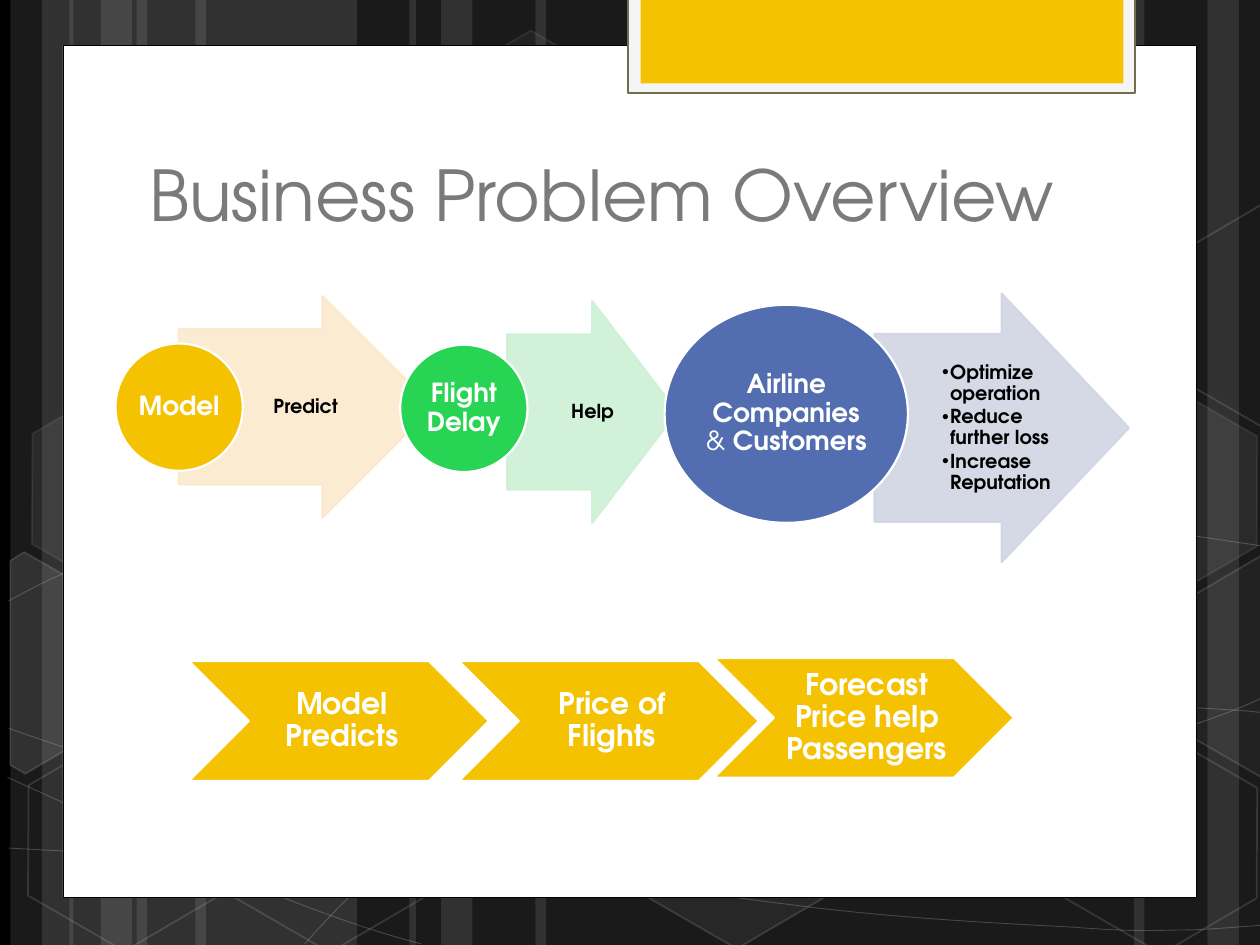
import math
import dataclasses
import pptx
import pptx.util
import pptx.dml.color
import pptx.enum.shapes
import pptx.enum.text
import pptx.oxml
import pptx.oxml.ns

KIND = pptx.enum.shapes.MSO_SHAPE
ALIGN = pptx.enum.text.PP_ALIGN
ANCHOR = pptx.enum.text.MSO_ANCHOR

STRIPES = [(78, 126), (6, 36), (24, 60), (111.6, 126), (39.6, 36), (57.6, 60),
           (528, 126), (690, 36), (648, 60), (306, 222), (234, 36), (252, 60)]

CURVES = [
    [(5, 484.6), (43.9, 486.7), (82.8, 488.9), (136.8, 488.2), (190.8, 487.4),
     (257.8, 486), (329.8, 478.8), (401.8, 471.6), (504, 457.9), (570.2, 444.2),
     (635.8, 430.6), (703.4, 409), (725, 396.7)],
    [(5, 343.4), (25.9, 331.9), (46.8, 321.1), (87.1, 310.3), (128.2, 299.5),
     (186.5, 283.7), (249.8, 278.6), (313.9, 273.6), (391.7, 272.9),
     (470.9, 278.6), (550.1, 284.4), (681.8, 306.7), (725, 312.5)],
    [(4.3, 444.2), (91.4, 483.8), (177.8, 523.4), (240.5, 539.3)],
    [(5, 416.2), (27.4, 424.1), (50.4, 432), (92.2, 443.5), (133.9, 454.3),
     (196.6, 472.3), (257, 484.6), (316.8, 496.8), (392.4, 509.8), (452.2, 517),
     (511.9, 524.9), (576, 527.8), (614.2, 529.9), (651.6, 532.8),
     (661.7, 531.4), (680.4, 531.4), (699.1, 530.6), (712.1, 529.2), (725, 528.5)],
    [(174.2, 539.3), (187.2, 524.9), (200.2, 510.5), (217.4, 497.5),
     (234.7, 484.6), (259.2, 470.2), (279.4, 460.1), (299.5, 450),
     (311.8, 445.7), (338.4, 438.5), (364.3, 431.3), (412.6, 421.2),
     (437.8, 416.2), (463.7, 411.1), (467.3, 411.1), (489.6, 409.7),
     (511.9, 407.5), (547.2, 405.4), (571.7, 404.6), (596.9, 403.9),
     (637.9, 404.6), (637.9, 404.6), (654, 404.6), (670, 404.6), (686.2, 404.6),
     (699.1, 405.4), (711.4, 406.1), (717.8, 406.8), (724.3, 407.5),
     (722.2, 406.8), (724.3, 407.5)],
]

HEXES = [(240.5, 26, 4, 8), (357.8, 424.1, 6, 12), (7.9, 425.5, 0, 12),
         (10.1, 224.6, 7, 8), (125.3, 426.2, 0, 12), (542.2, 326.2, 10, 12),
         (600.5, 427, 0, 12), (600.5, 226.1, 7, 8)]

LEFT = [(5.8, 320.4), (13.7, 315.4), (69.1, 347), (68.4, 410.4), (14.4, 442.1), (5.8, 437)]
RIGHT = [(666.7, 349.2), (720.7, 317.5), (726.5, 321.1), (726.5, 441.4),
         (721.4, 444.2), (666.7, 412.6)]


@dataclasses.dataclass(frozen=True)
class Theme:
    """Hold the colours, font and type sizes of the slide."""
    font: str = "TeX Gyre Adventor"
    black: str = "000000"
    white: str = "FFFFFF"
    grey: str = "7A7A7A"
    gold: str = "F5C201"
    green: str = "28D453"
    blue: str = "526DB0"
    cream: str = "FBE9CC"
    mint: str = "CDF1D4"
    mist: str = "D1D5E4"
    frame: str = "F5F5F5"
    olive: str = "6F6F4E"
    title: int = 40
    step: int = 17
    node: int = 15
    note: int = 11


LOOK = Theme()


def pts(*nums):
    """Turn numbers into point lengths."""
    return [pptx.util.Pt(num) for num in nums]


def tint(fill, hue):
    """Make a fill solid in one colour."""
    fill.solid()
    fill.fore_color.rgb = pptx.dml.color.RGBColor.from_string(hue)


def fade(shape, tag, alpha):
    """Set the opacity, in percent, of a shape's fill or line."""
    part = shape.element.spPr.find(pptx.oxml.ns.qn(tag))
    for node in part.iter(pptx.oxml.ns.qn("a:srgbClr")):
        mark = node.makeelement(pptx.oxml.ns.qn("a:alpha"), {"val": str(alpha * 1000)})
        node.append(mark)


def paint(shape, fill=None, line=None, width=1.25, alpha=100, edge=100):
    """Give a shape its fill and line, without a shadow."""
    shape.shadow.inherit = False
    if fill and alpha:
        tint(shape.fill, fill)
        if alpha < 100:
            fade(shape, "a:solidFill", alpha)
    else:
        shape.fill.background()
    if line:
        tint(shape.line.fill, line)
        shape.line.width = pptx.util.Pt(width)
        if edge < 100:
            fade(shape, "a:ln", edge)
    else:
        shape.line.fill.background()
    return shape


def add(slide, kind, box, **style):
    """Add a painted preset shape."""
    return paint(slide.shapes.add_shape(kind, *pts(*box)), **style)


def trace(slide, points, close, **style):
    """Add a painted outline through the points."""
    dots = [pts(*point) for point in points]
    pen = slide.shapes.build_freeform(*dots[0])
    pen.add_line_segments(dots[1:], close=close)
    return paint(pen.convert_to_shape(), line=LOOK.white, **style)


def bend(shape):
    """Turn every three straight segments into one cubic curve."""
    lines = list(shape.element.iter(pptx.oxml.ns.qn("a:lnTo")))
    for at in range(0, len(lines), 3):
        curve = lines[at].makeelement(pptx.oxml.ns.qn("a:cubicBezTo"), {})
        lines[at].addprevious(curve)
        for line in lines[at:at + 3]:
            curve.append(line[0])
            line.getparent().remove(line)


def turn(points, hub, angle):
    """Rotate points around a hub."""
    cos, sin = math.cos(math.radians(angle)), math.sin(math.radians(angle))
    moved = [(x - hub[0], y - hub[1]) for x, y in points]
    return [(hub[0] + x * cos - y * sin, hub[1] + x * sin + y * cos) for x, y in moved]


def shard(slide, points, hub, alpha, rise=0):
    """Add a cut hexagon, tilted by 30 degrees."""
    flat = [(x, y - rise) for x, y in turn(points, hub, -30)]
    trace(slide, flat, True, fill=LOOK.white, width=1, alpha=alpha, edge=12).rotation = 30


def frame(shape, inset, anchor=ANCHOR.MIDDLE):
    """Set insets, wrap and anchor, and return the text frame."""
    text = shape.text_frame
    text.word_wrap = True
    text.auto_size = pptx.enum.text.MSO_AUTO_SIZE.NONE
    text.vertical_anchor = anchor
    (text.margin_left, text.margin_top,
     text.margin_right, text.margin_bottom) = pts(*inset)
    return text


def style(para, size, hue, bold=True, align=ALIGN.CENTER, gap=0.35, lead=0.9):
    """Format one paragraph."""
    para.alignment = align
    para.line_spacing = lead
    para.space_before, para.space_after = pts(0, gap * size)
    para.font.name, para.font.size, para.font.bold = LOOK.font, pptx.util.Pt(size), bold
    tint(para.font.fill, hue)


def label(shape, runs, size, hue, inset):
    """Write centred text in a shape, with a lone ampersand in light type."""
    para = frame(shape, inset).paragraphs[0]
    for words in runs:
        run = para.add_run()
        run.text = words
        if words.strip() == "&":
            run.font.bold = False
    style(para, size, hue)


def place(shape, box):
    """Move a placeholder to a box and to the front."""
    shape.left, shape.top, shape.width, shape.height = pts(*box)
    shape.element.getparent().append(shape.element)


def bullets(shape, items):
    """Write a tight bulleted list."""
    text = frame(shape, (2, 1, 1.5, 1))
    text.text = "\n".join(items)
    for para in text.paragraphs:
        para.level = 1
        style(para, LOOK.note, LOOK.black, align=ALIGN.LEFT, gap=0.15)
        props = para._p.get_or_add_pPr()
        props.set("marL", str(pptx.util.Pt(4.5)))
        props.set("indent", str(pptx.util.Pt(-4.5)))
        dot = props.makeelement(pptx.oxml.ns.qn("a:buChar"), {"char": "•"})
        props.find(pptx.oxml.ns.qn("a:defRPr")).addprevious(dot)


def decor(slide):
    """Draw the dark backdrop, the page and the gold tab."""
    tint(slide.background.fill, LOOK.black)
    for x, wide in STRIPES:
        add(slide, KIND.RECTANGLE, (x, 0, wide, 540), fill=LOOK.white, alpha=10)
    for knots in CURVES:
        bend(trace(slide, knots, False, width=0.5, edge=20))
    for x, y, alpha, edge in HEXES:
        hexa = add(slide, KIND.HEXAGON, (x, y, 126, 109.5), fill=LOOK.white,
                   line=LOOK.white, width=1, alpha=alpha, edge=edge)
        hexa.adjustments[0] = 0.285
        hexa.rotation = 30
    shard(slide, LEFT, (25.9, 385.2), 10)
    shard(slide, RIGHT, (709.2, 374.4), 4)
    shard(slide, RIGHT, (709.2, 374.4), 0, rise=200.5)
    add(slide, KIND.RECTANGLE, (36, 26, 648, 487), fill=LOOK.white, line=LOOK.black, width=0.5)
    add(slide, KIND.RECTANGLE, (359, -1.4, 289.5, 54.7), fill=LOOK.frame, line=LOOK.olive)
    add(slide, KIND.RECTANGLE, (366, -1.4, 276, 49), fill=LOOK.gold)


def stage(slide, arrow, pale, note, inset, disc, hue, runs):
    """Draw one stage: a pale arrow with a disc on its tail."""
    shape = add(slide, KIND.RIGHT_ARROW, arrow, fill=pale, line=pale, alpha=90, edge=90)
    shape.adjustments[0], shape.adjustments[1] = 0.7, 0.5
    if note:
        label(shape, [note], LOOK.note, LOOK.black, (inset, 1, 0, 1))
    shape = add(slide, KIND.OVAL, disc, fill=hue, line=LOOK.white)
    label(shape, runs, LOOK.node, LOOK.white, (0.7,) * 4)


def main():
    """Build the slide and save it."""
    deck = pptx.Presentation()
    deck.slide_width, deck.slide_height = pts(720, 540)
    slide = deck.slides.add_slide(deck.slide_layouts[1])
    title, body = slide.placeholders
    decor(slide)
    place(title, (78, 48.2, 553, 90))
    text = frame(title, (7.2, 3.6, 7.2, 3.6), ANCHOR.BOTTOM)
    text.text = "Business Problem Overview"
    style(text.paragraphs[0], LOOK.title, LOOK.grey, False, ALIGN.LEFT, 0, 1)
    stage(slide, (102.2, 169.2, 145.4, 126.7), LOOK.cream, "Predict", 44,
          (66, 196.3, 72.7, 72.7), LOOK.gold, ["Model"])
    stage(slide, (289.8, 172.1, 97.2, 126.7), LOOK.mint, "Help", 34.5,
          (228.7, 197, 72.7, 72.7), LOOK.green, ["Flight Delay"])
    stage(slide, (499.7, 167.8, 145.4, 153.4), LOOK.mist, "", 0,
          (379.8, 174.2, 139, 124.6), LOOK.blue, ["Airline Companies", " & ", "Customers"])
    place(body, (536.4, 191, 70.6, 107.3))
    bullets(body, ["Optimize operation", "Reduce further loss", "Increase Reputation"])
    for x, y, words in [(108, 377.8, "Model Predicts"), (262.3, 377.8, "Price of Flights"),
                        (408, 376, "Forecast Price help Passengers")]:
        shape = add(slide, KIND.CHEVRON, (x, y, 171.4, 68.4), fill=LOOK.gold, line=LOOK.white)
        label(shape, [words], LOOK.step, LOOK.white, (5, 1.5, 1.5, 1.5))
    deck.save("out.pptx")


if __name__ == "__main__":
    main()
